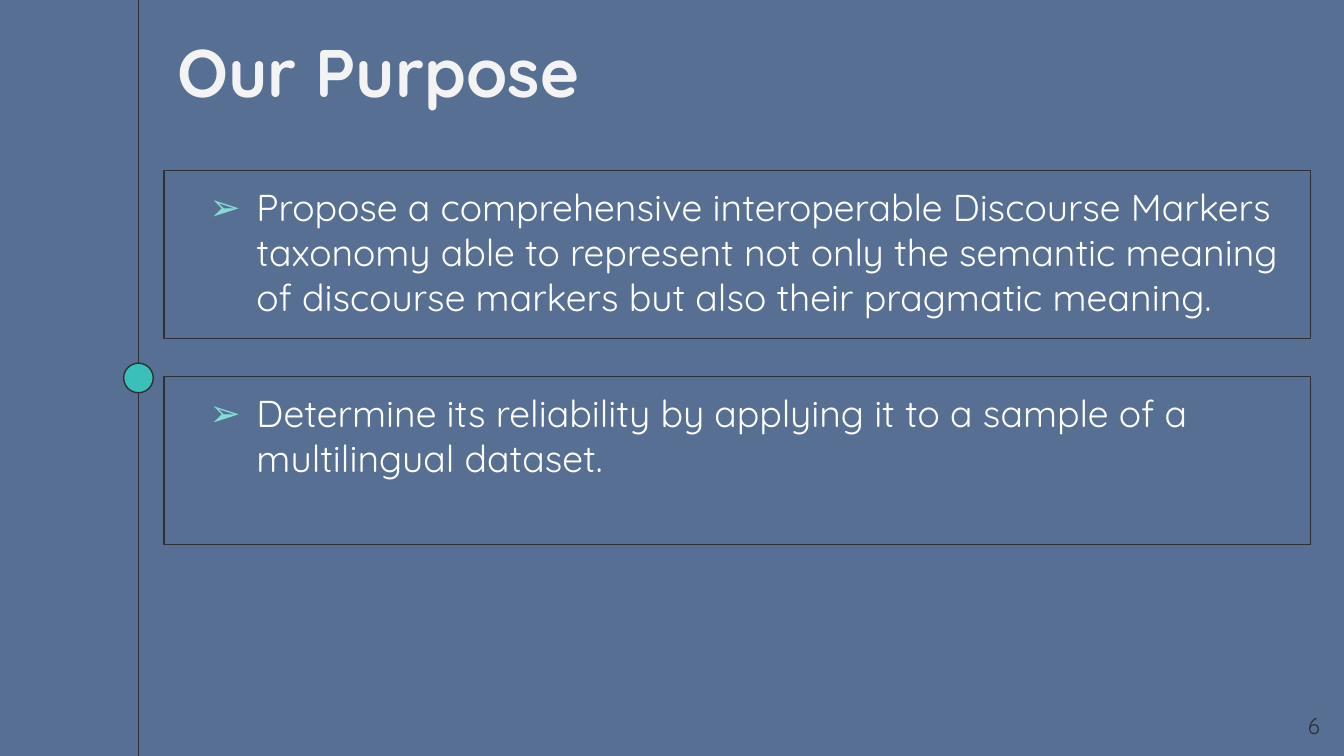
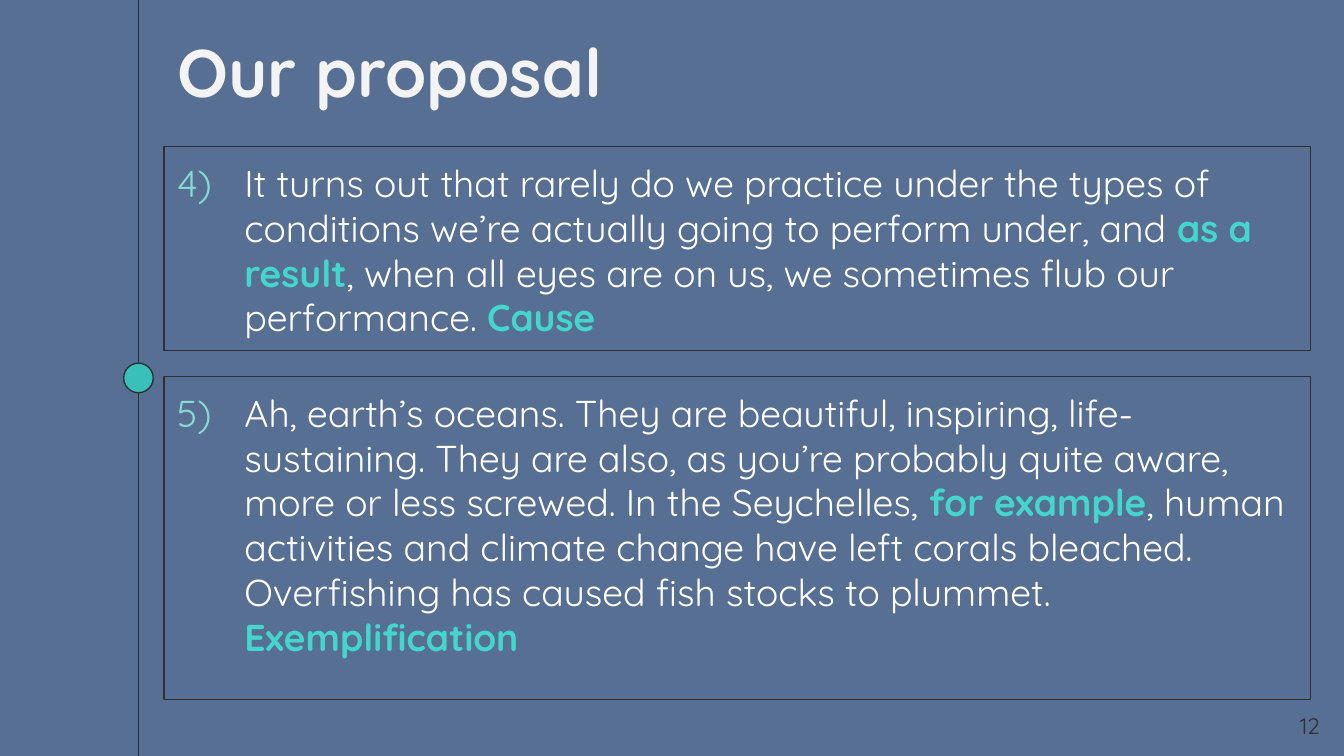
from lxml.etree import SubElement
from pptx import Presentation
from pptx.dml.color import RGBColor
from pptx.enum.shapes import MSO_CONNECTOR, MSO_SHAPE
from pptx.enum.text import MSO_ANCHOR, MSO_AUTO_SIZE, PP_ALIGN
from pptx.oxml.ns import qn
from pptx.util import Inches, Pt

BACKGROUND = RGBColor(0x56, 0x6F, 0x92)
INK = RGBColor(0x2E, 0x30, 0x37)
DOT = RGBColor(0x39, 0xC0, 0xBA)
MARKER = RGBColor(0x86, 0xDB, 0xD7)
ACCENT = RGBColor(0x44, 0xD5, 0xCE)
WHITE = RGBColor(0xFF, 0xFF, 0xFF)
HEADING = RGBColor(0xF3, 0xF3, 0xF3)
FONT = "Quicksand"

TITLE_ONLY = 5
AXIS = 10.3  # centre of the vertical line, percent of the width
BODY_LEFT, BODY_WIDTH = 12.2, 85.3
LOWER_TOP = 49.8


class TimelineDeck:
    """Holds the shared style and the current slide; lengths are percent of the slide."""

    def __init__(self):
        self.deck = Presentation()
        self.deck.slide_width = Inches(10)
        self.deck.slide_height = Inches(5.625)
        fill = self.deck.slide_master.background.fill
        fill.solid()
        fill.fore_color.rgb = BACKGROUND
        self.slide = None

    def across(self, share):
        return round(self.deck.slide_width * share / 100)

    def down(self, share):
        return round(self.deck.slide_height * share / 100)

    def area(self, left, top, width, height):
        return self.across(left), self.down(top), self.across(width), self.down(height)

    def add_slide(self, title, number):
        self.slide = self.deck.slides.add_slide(self.deck.slide_layouts[TITLE_ONLY])
        self.add_axis()
        self.add_title(title)
        self.add_number(number)

    def add_axis(self):
        x = self.across(AXIS)
        line = self.slide.shapes.add_connector(
            MSO_CONNECTOR.STRAIGHT, x, 0, x, self.deck.slide_height)
        SubElement(line._element.spPr, qn("a:effectLst"))
        self.outline(line)
        size = self.across(2.2)
        dot = self.slide.shapes.add_shape(
            MSO_SHAPE.OVAL, x - size // 2, self.down(50) - size // 2, size, size)
        dot.shadow.inherit = False
        dot.fill.solid()
        dot.fill.fore_color.rgb = DOT
        self.outline(dot)

    def add_title(self, text):
        title = self.slide.shapes.title
        title.left, title.top, title.width, title.height = self.area(BODY_LEFT, 3.4, 73, 11.9)
        para = self.prepare(title.text_frame, MSO_ANCHOR.MIDDLE)
        para.space_before = Pt(6)
        para.add_run().text = text
        self.style(para, 36, HEADING, bold=True)

    def add_number(self, number):
        box = self.slide.shapes.add_textbox(*self.area(93.2, 92.4, 6, 6.1))
        para = self.prepare(box.text_frame)
        para.alignment = PP_ALIGN.RIGHT
        para.add_run().text = str(number)
        self.style(para, 12, INK)

    def add_panel(self, top, height, spans, start=None):
        """Add a framed list item of (text, highlighted) spans; start numbers it."""
        box = self.slide.shapes.add_shape(
            MSO_SHAPE.RECTANGLE, *self.area(BODY_LEFT, top, BODY_WIDTH, height))
        box.shadow.inherit = False
        box.fill.background()
        self.outline(box)
        para = self.prepare(box.text_frame)
        self.add_marker(para, start)
        self.style(para, 20, WHITE)
        for text, highlighted in spans:
            span = para.add_run()
            span.text = text
            if highlighted:
                span.font.bold = True
                span.font.color.rgb = ACCENT

    def add_marker(self, para, start):
        margin, hanging = (5.9, 3.5) if start is None else (5, 5)
        properties = para._p.get_or_add_pPr()
        properties.set("marL", str(self.across(margin)))
        properties.set("indent", str(-self.across(hanging)))
        color = SubElement(properties, qn("a:buClr"))
        SubElement(color, qn("a:srgbClr"), val=str(MARKER))
        SubElement(properties, qn("a:buFont"), typeface=FONT)
        if start is None:
            SubElement(properties, qn("a:buChar"), char="➢")
        else:
            SubElement(properties, qn("a:buAutoNum"), type="arabicParenR", startAt=str(start))

    def prepare(self, frame, anchor=MSO_ANCHOR.TOP):
        """Set wrapping, anchor and insets, and return the first paragraph."""
        frame.word_wrap = True
        frame.auto_size = MSO_AUTO_SIZE.NONE
        frame.vertical_anchor = anchor
        inset = self.across(1)
        frame.margin_left = frame.margin_right = inset
        frame.margin_top = frame.margin_bottom = inset
        para = frame.paragraphs[0]
        para.alignment = PP_ALIGN.LEFT
        return para

    @staticmethod
    def style(para, size, color, bold=False):
        font = para.font
        font.name, font.size, font.bold = FONT, Pt(size), bold
        font.color.rgb = color

    @staticmethod
    def outline(shape):
        shape.line.color.rgb = INK
        shape.line.width = Pt(0.75)


def main():
    show = TimelineDeck()

    show.add_slide("Our Purpose", 6)
    show.add_panel(22.6, 22.2, [
        ("Propose a comprehensive interoperable Discourse Markers taxonomy able to "
         "represent not only the semantic meaning of discourse markers but also their "
         "pragmatic meaning.", False)])
    show.add_panel(LOWER_TOP, 22.2, [
        ("Determine its reliability by applying it to a sample of a multilingual "
         "dataset.", False)])

    show.add_slide("Our proposal", 12)
    show.add_panel(19.4, 27, [
        ("It turns out that rarely do we practice under the types of conditions we’re "
         "actually going to perform under, and ", False),
        ("as a result", True),
        (", when all eyes are on us, we sometimes flub our performance. ", False),
        ("Cause", True)], start=4)
    show.add_panel(LOWER_TOP, 42.7, [
        ("Ah, earth’s oceans. They are beautiful, inspiring, life-sustaining. They are "
         "also, as you’re probably quite aware, more or less screwed. In the "
         "Seychelles, ", False),
        ("for example", True),
        (", human activities and climate change have left corals bleached. Overfishing "
         "has caused fish stocks to plummet. ", False),
        ("Exemplification", True)], start=5)

    show.deck.save("out.pptx")


if __name__ == "__main__":
    main()
